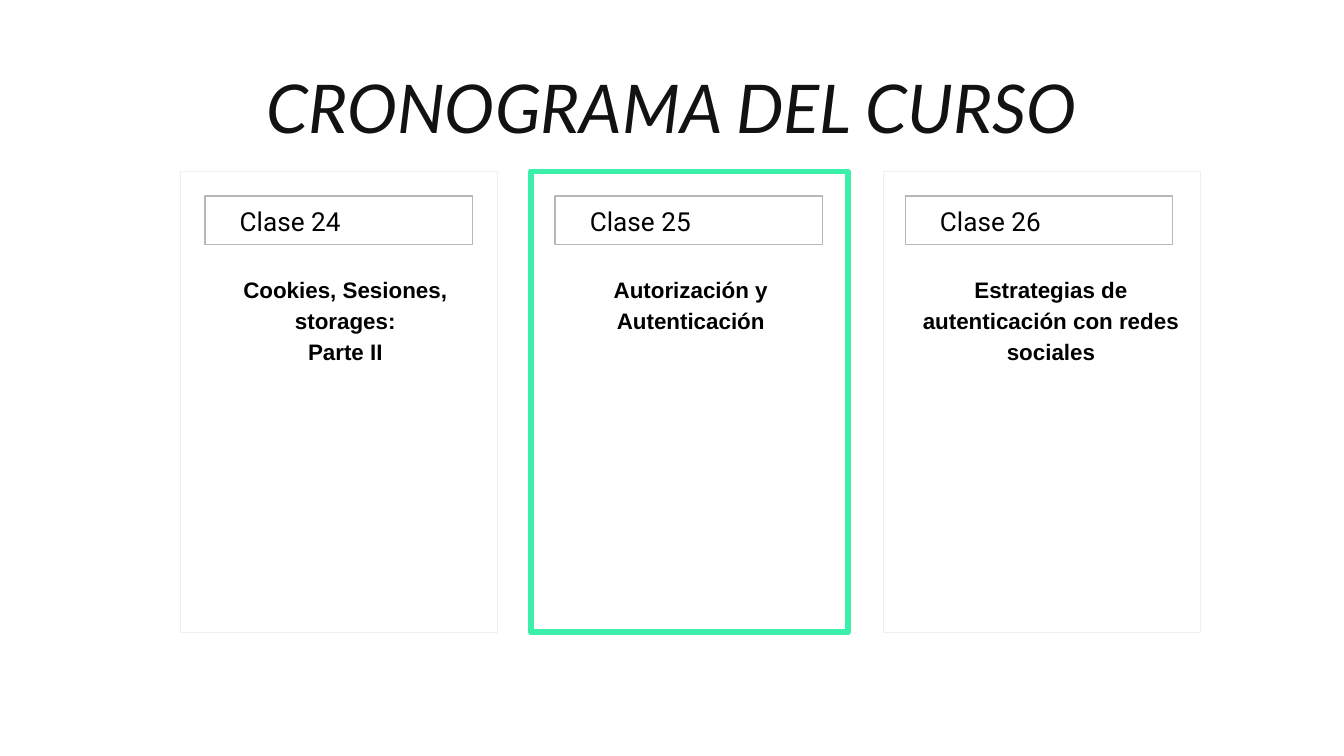
from dataclasses import dataclass

from lxml.etree import SubElement
from pptx import Presentation
from pptx.dml.color import RGBColor
from pptx.enum.shapes import MSO_SHAPE
from pptx.enum.text import MSO_ANCHOR, PP_ALIGN
from pptx.oxml.ns import qn
from pptx.util import Emu, Pt

SCALE = 4572  # EMU per px, 200 px to the inch
INSET = 20


@dataclass
class Lesson:
    label: str
    topic: str
    left: int
    width: int  # of the topic box
    edge: str = "EFEFEF"
    weight: float = 0.75


LESSONS = [
    Lesson("Clase 24", "Cookies, Sesiones, storages:\vParte II", 269, 452),
    Lesson("Clase 25", "Autorización y Autenticación", 790, 440, "3CEFAB", 3),
    Lesson("Clase 26", "Estrategias de autenticación con redes sociales", 1315, 472),
]


def px(n: int) -> Emu:
    return Emu(n * SCALE)


def color(code: str) -> RGBColor:
    return RGBColor.from_string(code)


def frame(slide, x: int, y: int, w: int, h: int, edge: str, weight: float) -> None:
    """Draw an unfilled rectangle with rounded line joins."""
    box = slide.shapes.add_shape(MSO_SHAPE.RECTANGLE, px(x), px(y), px(w), px(h))
    box.shadow.inherit = False
    box.fill.background()
    box.line.color.rgb = color(edge)
    box.line.width = Pt(weight)
    SubElement(box.line.fill._xPr, qn("a:round"))


def write(shape, text: str, font: str, size: int, ink: str = "000000",
          align=PP_ALIGN.LEFT, spacing: float = 1.0, anchor=MSO_ANCHOR.TOP,
          bold: bool = False, italic: bool = False) -> None:
    body = shape.text_frame
    body.text = text
    body.word_wrap = True
    body.vertical_anchor = anchor
    body.margin_left = body.margin_right = px(INSET)
    body.margin_top = body.margin_bottom = px(INSET)
    para = body.paragraphs[0]
    para.alignment = align
    para.line_spacing = spacing
    for run in para.runs:
        run.font.name = font
        run.font.size = Pt(size)
        run.font.bold = bold
        run.font.italic = italic
        run.font.color.rgb = color(ink)


def card(slide, lesson: Lesson, i: int) -> None:
    """Draw the lesson in column i."""
    frame(slide, lesson.left, 255, 472, 686, lesson.edge, lesson.weight)
    tag = 305 + 521 * i
    frame(slide, tag, 292, 398, 72, "B7B7B7", 0.75)
    label = slide.shapes.add_textbox(px(tag + 32), px(286), px(270), px(80))
    write(label, lesson.label, "Roboto", 14)
    topic = slide.shapes.add_textbox(px(288 + 520 * i), px(385), px(lesson.width), px(92))
    write(topic, lesson.topic, "Arial", 12, align=PP_ALIGN.CENTER,
          spacing=1.15, bold=True)


def main() -> None:
    deck = Presentation()
    deck.slide_width, deck.slide_height = px(2000), px(1125)
    slide = deck.slides.add_slide(deck.slide_layouts[5])
    for i, lesson in enumerate(LESSONS):
        card(slide, lesson, i)
    title = slide.shapes.title
    title.left, title.top, title.width, title.height = map(px, (306, 51, 1388, 216))
    write(title, "CRONOGRAMA DEL CURSO", "Lato", 36, "121212",
          align=PP_ALIGN.CENTER, anchor=MSO_ANCHOR.MIDDLE, italic=True)
    deck.save("out.pptx")


if __name__ == "__main__":
    main()
